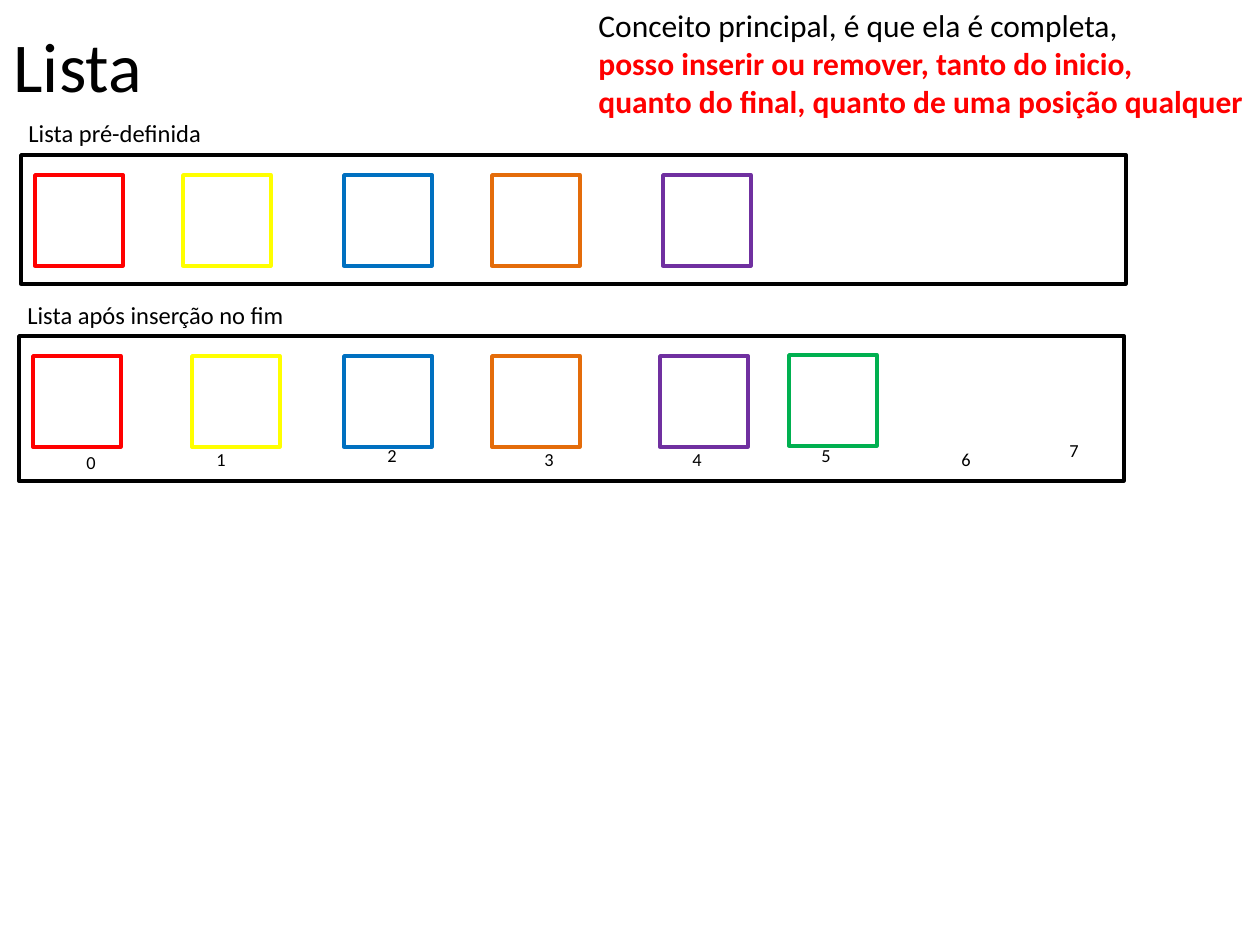
import dataclasses

import pptx
import pptx.dml.color
import pptx.enum.shapes
import pptx.enum.text
import pptx.util

EMU_PER_PX = 914400 / 126
SLIDE_SIZE = (1260, 945)
TITLE_ONLY_LAYOUT = 5


@dataclasses.dataclass(frozen=True)
class Theme:
    font: str = "Calibri"
    black: str = "000000"
    red: str = "FF0000"
    yellow: str = "FFFF00"
    blue: str = "0070C0"
    orange: str = "E46C0A"
    purple: str = "7030A0"
    green: str = "00B050"
    title_size: float = 40
    concept_size: float = 18
    caption_size: float = 14
    index_size: float = 10.5
    line_width: float = 2


def px(length):
    return pptx.util.Emu(round(length * EMU_PER_PX))


def rgb(color):
    return pptx.dml.color.RGBColor.from_string(color)


class SlideBuilder:
    def __init__(self, slide, theme):
        self.slide = slide
        self.theme = theme

    def format_paragraph(self, paragraph, size, color, bold=False):
        paragraph.alignment = pptx.enum.text.PP_ALIGN.LEFT
        for run in paragraph.runs:
            run.font.name = self.theme.font
            run.font.size = pptx.util.Pt(size)
            run.font.color.rgb = rgb(color)
            run.font.bold = bold

    def title(self, text, left, top, width, height):
        shape = self.slide.shapes.title
        shape.left, shape.top = px(left), px(top)
        shape.width, shape.height = px(width), px(height)
        frame = shape.text_frame
        frame.text = text
        frame.auto_size = pptx.enum.text.MSO_AUTO_SIZE.SHAPE_TO_FIT_TEXT
        frame.vertical_anchor = pptx.enum.text.MSO_ANCHOR.TOP
        self.format_paragraph(frame.paragraphs[0], self.theme.title_size, self.theme.black)

    def text(self, text, left, top, width, height, size, wrap=True):
        shape = self.slide.shapes.add_textbox(px(left), px(top), px(width), px(height))
        frame = shape.text_frame
        frame.word_wrap = wrap
        frame.auto_size = pptx.enum.text.MSO_AUTO_SIZE.SHAPE_TO_FIT_TEXT
        frame.text = text
        for paragraph in frame.paragraphs:
            self.format_paragraph(paragraph, size, self.theme.black)
        return frame.paragraphs

    def outline(self, left, top, width, height, color):
        shape = self.slide.shapes.add_shape(
            pptx.enum.shapes.MSO_SHAPE.RECTANGLE, px(left), px(top), px(width), px(height))
        shape.shadow.inherit = False
        shape.fill.background()
        shape.line.color.rgb = rgb(color)
        shape.line.width = pptx.util.Pt(self.theme.line_width)

    def list_row(self, caption, caption_box, frame_box, items):
        """Draw a captioned frame holding one square per (left, top, color) item."""
        self.outline(*frame_box, self.theme.black)
        for left, top, color in items:
            self.outline(left, top, 88, 91, color)
        self.text(caption, *caption_box, self.theme.caption_size)


def main():
    presentation = pptx.Presentation()
    presentation.slide_width, presentation.slide_height = map(px, SLIDE_SIZE)
    slide = presentation.slides.add_slide(presentation.slide_layouts[TITLE_ONLY_LAYOUT])
    theme = Theme()
    builder = SlideBuilder(slide, theme)

    builder.title("Lista", 1, 16, 226, 97)
    concept = builder.text(
        "Conceito principal, é que ela é completa,\n"
        "posso inserir ou remover, tanto do inicio,\n"
        "quanto do final, quanto de uma posição qualquer",
        586, 0, 675, 127, theme.concept_size, wrap=False)
    for paragraph in concept[1:]:
        builder.format_paragraph(paragraph, theme.concept_size, theme.red, bold=True)

    colors = (theme.red, theme.yellow, theme.blue, theme.orange, theme.purple)
    initial_items = [(left, 175, color)
                     for left, color in zip((35, 183, 344, 492, 663), colors)]
    builder.list_row("Lista pré-definida", (16, 112, 256, 43),
                     (21, 155, 1105, 129), initial_items)

    final_items = [(left, 356, color)
                   for left, color in zip((33, 192, 344, 492, 660), colors)]
    final_items.append((789, 355, theme.green))
    builder.list_row("Lista após inserção no fim", (15, 294, 378, 43),
                     (19, 336, 1105, 145), final_items)

    index_positions = ((74, 445), (204, 442), (375, 438), (532, 442),
                       (680, 442), (809, 438), (949, 442), (1057, 433))
    for index, (left, top) in enumerate(index_positions):
        builder.text(str(index), left, top, 38, 35, theme.index_size)

    presentation.save("out.pptx")


if __name__ == "__main__":
    main()
